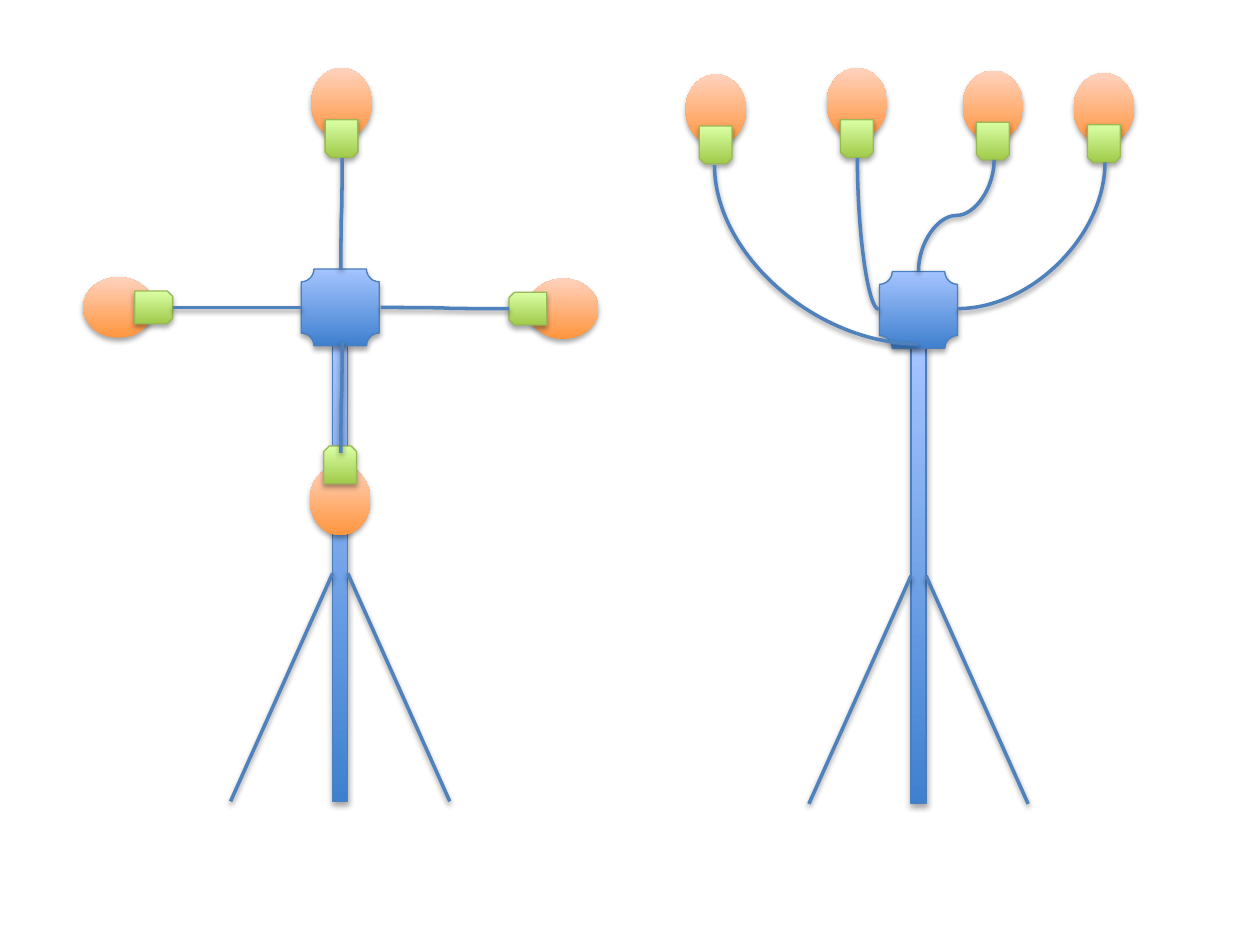
import math

from lxml import etree
from pptx import Presentation
from pptx import util as u
from pptx.dml.color import RGBColor
from pptx.enum import shapes
from pptx.oxml import parse_xml
from pptx.oxml.ns import nsdecls, qn

COLORS = {
    "wire": "4F81BD",
    "metal": ("3F80CE", "A4C4FF"),
    "metal_edge": "4B7EBC",
    "glass": ("FF953E", "FFD2BD"),
    "socket": ("A0CA4A", "DAFFA5"),
    "socket_edge": "98B955",
    "shadow": "000000",
}
SHAPE = shapes.MSO_SHAPE
CONNECTOR = shapes.MSO_CONNECTOR
STANDS = [(2.7, 2.14), (7.29, 2.16)]
CROSS_BULBS = [(4.47, 2.45, 270), (0.94, 2.44, 90), (2.7, 3.97, 0), (2.71, 0.82, 180)]
RAISED_BULBS = [(8.76, 0.86, 180), (6.8, 0.82, 180), (5.68, 0.87, 180), (7.88, 0.84, 180)]
CROSS_WIRES = [
    ("curvedConnector3", 2.27, 1.69, 0.88, 0.01, 90, "HV"),
    ("curvedConnector3", 1.37, 2.44, 1.02, 0, 0, "V"),
    ("curvedConnector3", 2.27, 3.15, 0.88, 0.01, 90, "HV"),
    ("curvedConnector3", 3.02, 2.44, 1.02, 0.01, 0, ""),
]
RAISED_WIRES = [
    ("curvedConnector3", 7.15, 1.41, 0.88, 0.6, 90, "HV"),
    ("curvedConnector2", 6.29, 1.77, 1.2, 0.17, 270, "H"),
    ("curvedConnector2", 5.77, 1.21, 1.42, 1.62, 270, "H"),
    ("curvedConnector2", 7.6, 1.29, 1.17, 1.16, 0, "V"),
]


def add_shadow(sp, dist, alpha):
    """Give a shape or connector a soft shadow straight below it."""
    sp_pr = sp.element.spPr
    sp_pr.append(parse_xml(
        f'<a:effectLst {nsdecls("a")}><a:outerShdw blurRad="{u.Pt(3.1)}" '
        f'dist="{u.Pt(dist)}" dir="5400000" rotWithShape="0">'
        f'<a:srgbClr val="{COLORS["shadow"]}"><a:alpha val="{alpha}000"/>'
        '</a:srgbClr></a:outerShdw></a:effectLst>'))


def add_solid(parent, kind, center, size, fill, edge=None, rotation=0):
    """Add a gradient-filled shape around a centre point."""
    (cx, cy), (w, h) = center, size
    sp = parent.add_shape(kind, u.Inches(cx - w / 2), u.Inches(cy - h / 2),
                          u.Inches(w), u.Inches(h))
    sp.rotation = rotation
    sp.fill.gradient()
    sp.fill.gradient_angle = 90
    for stop, color in zip(sp.fill.gradient_stops, COLORS[fill]):
        stop.color.rgb = RGBColor.from_string(color)
    sp.element.spPr.find(qn("a:gradFill")).set("rotWithShape", "0")
    if edge:
        sp.line.color.rgb = RGBColor.from_string(COLORS[edge])
        sp.line.width = u.Pt(0.75)
    else:
        sp.line.fill.background()
    add_shadow(sp, 1.8, 35)
    return sp


def add_line(s, kind, start, end):
    """Add a shadowed wire-coloured connector between two points."""
    line = s.shapes.add_connector(kind, *(u.Inches(v) for v in (*start, *end)))
    line.line.color.rgb = RGBColor.from_string(COLORS["wire"])
    line.line.width = u.Pt(2)
    add_shadow(line, 1.6, 38)
    return line


def add_wire(s, preset, left, top, width, height, rotation, flips):
    """Add a curved wire with its bend type, rotation and flips."""
    wire = add_line(s, CONNECTOR.CURVE, (left, top), (left + width, top + height))
    sp_pr = wire.element.spPr
    sp_pr.find(qn("a:prstGeom")).set("prst", preset)
    xfrm = sp_pr.find(qn("a:xfrm"))
    xfrm.set("rot", str(rotation * 60000))
    for axis in flips:
        xfrm.set(f"flip{axis}", "1")


def add_bulb(s, cx, cy, rotation):
    """Add a grouped bulb whose socket points along its rotation."""
    group = s.shapes.add_group_shape().shapes
    angle = math.radians(rotation)
    socket = cx + 0.28 * math.sin(angle), cy - 0.28 * math.cos(angle)
    add_solid(group, SHAPE.OVAL, (cx, cy), (0.48, 0.56), "glass", rotation=rotation)
    add_solid(group, SHAPE.SNIP_2_SAME_RECTANGLE, socket, (0.26, 0.3),
              "socket", "socket_edge", rotation)


def add_stand(s, cx, top):
    """Add a pole with two legs and a hub on top."""
    add_solid(s.shapes, SHAPE.RECTANGLE, (cx, top + 2.41), (0.12, 3.62),
              "metal", "metal_edge")
    for side in (-1, 1):
        add_line(s, CONNECTOR.STRAIGHT, (cx + side * 0.06, top + 2.41),
                 (cx + side * 0.87, top + 4.22))
    add_solid(s.shapes, SHAPE.PLAQUE, (cx, top + 0.3), (0.62, 0.61),
              "metal", "metal_edge")


def main():
    """Build the slide with both lamp stands."""
    prs = Presentation()
    prs.slide_width, prs.slide_height = u.Inches(10), u.Inches(7.5)
    s = prs.slides.add_slide(prs.slide_layouts[6])
    lamps = zip(STANDS, (CROSS_BULBS, RAISED_BULBS), (CROSS_WIRES, RAISED_WIRES))
    for stand, bulbs, wires in lamps:
        add_stand(s, *stand)
        for bulb in bulbs:
            add_bulb(s, *bulb)
        for wire in wires:
            add_wire(s, *wire)
    prs.save("out.pptx")


if __name__ == "__main__":
    main()
